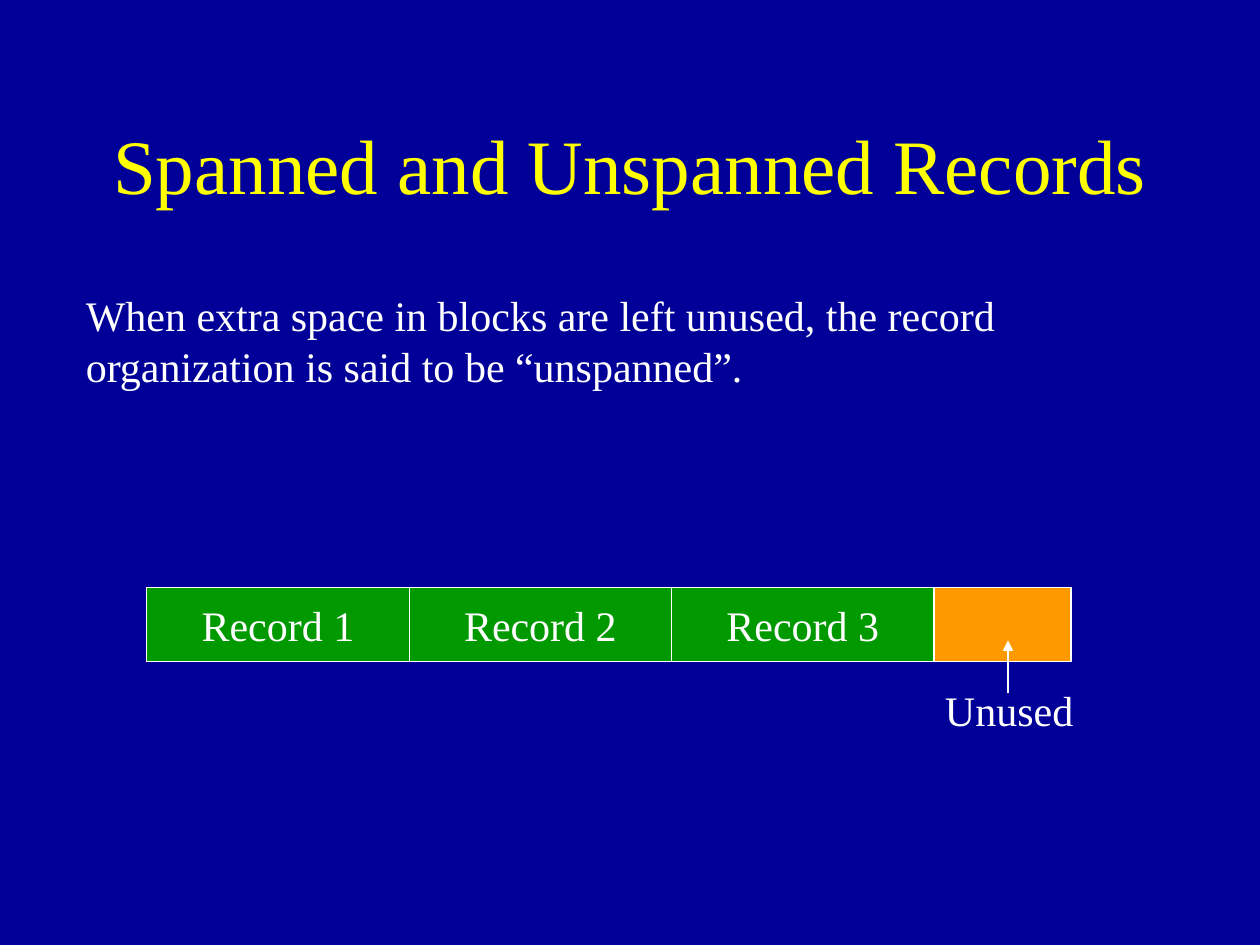
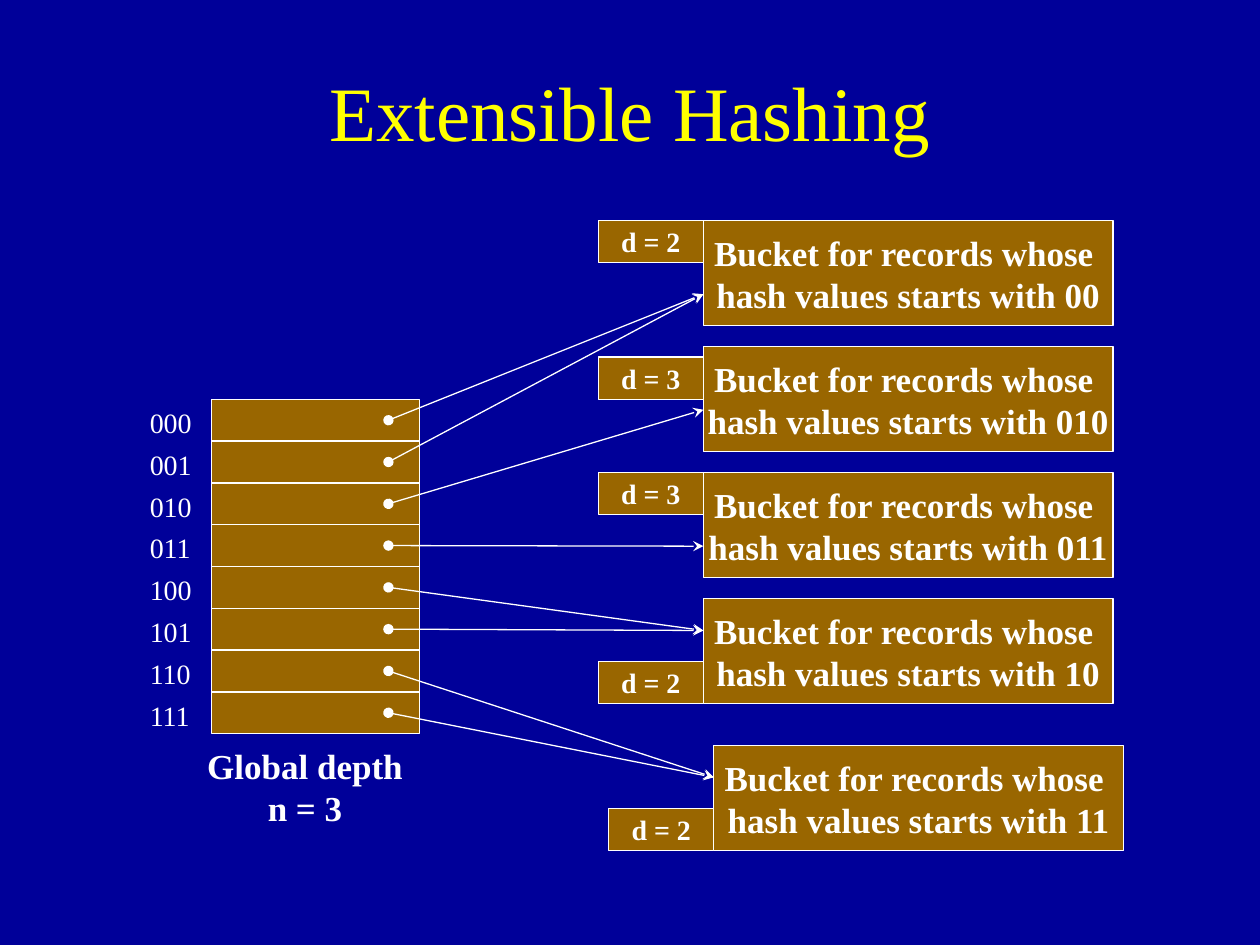
from lxml.etree import SubElement
from pptx import Presentation
from pptx.dml.color import RGBColor
from pptx.enum.shapes import MSO_CONNECTOR, MSO_SHAPE
from pptx.enum.text import MSO_ANCHOR, MSO_AUTO_SIZE, PP_ALIGN
from pptx.oxml.ns import qn
from pptx.util import Cm, Pt

NAVY = RGBColor(0x00, 0x00, 0x99)
YELLOW = RGBColor(0xFF, 0xFF, 0x00)
WHITE = RGBColor(0xFF, 0xFF, 0xFF)
GREEN = RGBColor(0x00, 0x99, 0x00)
ORANGE = RGBColor(0xFF, 0x99, 0x00)
BROWN = RGBColor(0x99, 0x66, 0x00)

FONT = "Times New Roman"
LINE_WIDTH = Pt(0.75)
TITLE_ONLY = 5


def write(frame, text, size, color=WHITE, bold=False, align=PP_ALIGN.CENTER):
    """Fill a text frame, one paragraph for each line of the text."""
    frame.text = text
    for paragraph in frame.paragraphs:
        paragraph.alignment = align
        font = paragraph.font
        font.name, font.size, font.bold = FONT, Pt(size), bold
        font.color.rgb = color


def add_page(deck, title, title_top):
    page = deck.slides.add_slide(deck.slide_layouts[TITLE_ONLY])
    box = page.shapes.title
    box.left, box.top, box.width, box.height = Cm(1.9), Cm(title_top), Cm(21.6), Cm(3.18)
    frame = box.text_frame
    frame.auto_size = MSO_AUTO_SIZE.NONE
    frame.vertical_anchor = MSO_ANCHOR.MIDDLE
    write(frame, title, 44, YELLOW)
    return page


def add_block(page, left, top, width, height, fill, text="", size=24, bold=False):
    """Add a white-edged rectangle with centred text."""
    block = page.shapes.add_shape(
        MSO_SHAPE.RECTANGLE, Cm(left), Cm(top), Cm(width), Cm(height))
    block.shadow.inherit = False
    block.fill.solid()
    block.fill.fore_color.rgb = fill
    block.line.color.rgb = WHITE
    block.line.width = LINE_WIDTH
    if text:
        block.text_frame.word_wrap = False
        block.text_frame.vertical_anchor = MSO_ANCHOR.MIDDLE
        write(block.text_frame, text, size, bold=bold)


def add_label(page, left, top, width, height, text, size,
              bold=False, align=PP_ALIGN.LEFT, wrap=False):
    box = page.shapes.add_textbox(Cm(left), Cm(top), Cm(width), Cm(height))
    box.text_frame.word_wrap = wrap
    write(box.text_frame, text, size, bold=bold, align=align)


def add_line(page, start, end, head=None, tail=None):
    """Draw a line; head and tail name the marks at its start and end."""
    connector = page.shapes.add_connector(
        MSO_CONNECTOR.STRAIGHT, *(Cm(value) for value in (*start, *end)))
    connector.line.color.rgb = WHITE
    connector.line.width = LINE_WIDTH
    properties = connector.element.spPr
    outline = properties.find(qn("a:ln"))
    for tag, mark in (("a:headEnd", head), ("a:tailEnd", tail)):
        if mark:
            SubElement(outline, qn(tag)).set("type", mark)
    SubElement(properties, qn("a:effectLst"))


def add_record_block(page, left, top, width, height):
    """Draw three records and the unused rest of their block."""
    record_width = 5.29
    add_block(page, left, top, width, height, ORANGE)
    for index in range(3):
        add_block(page, left + index * record_width, top, record_width, height,
                  GREEN, f"Record {index + 1}")
    arrow_x = left + 17.36
    add_label(page, left + 15.84, top + 1.82, 3.1, 1.27, "Unused", 24)
    add_line(page, (arrow_x, top + 2.12), (arrow_x, top + 1.06), tail="triangle")


def add_directory(page, left, top, width, height, depth):
    """Draw the hash directory and return the start point of each pointer."""
    count = 2 ** depth
    row_height = height / count
    add_block(page, left, top, width, height, BROWN)
    starts = []
    for row in range(count):
        row_top = top + row * row_height
        if row:
            add_line(page, (left, row_top), (left + width, row_top))
        add_label(page, left - 1.5, row_top, 1.35, 0.94, f"{row:0{depth}b}", 16)
        starts.append((left + 3.56, row_top + row_height / 2))
    add_label(page, left - 0.43, top + height + 0.1, 4.62, 1.96,
              f"Global depth \nn = {depth}", 20, bold=True, align=PP_ALIGN.CENTER)
    return starts


def add_bucket(page, left, top, prefix, tag_drop):
    """Draw a bucket with its local-depth tag, tag_drop below the bucket's top."""
    tag_width = 2.12
    add_block(page, left, top, 8.26, 2.12, BROWN,
              f"Bucket for records whose \nhash values starts with {prefix}", 20, True)
    add_block(page, left - tag_width, top + tag_drop, tag_width, 0.85, BROWN,
              f"d = {len(prefix)}", 16, True)


def build_records_page(deck):
    page = add_page(deck, "Spanned and Unspanned Records", 1.7)
    add_label(page, 1.48, 5.72, 22.05, 2.29,
              "When extra space in blocks are left unused, the record "
              "organization is said to be “unspanned”.", 24, wrap=True)
    add_record_block(page, 2.96, 11.85, 18.63, 1.48)


def build_hashing_page(deck):
    page = add_page(deck, "Extensible Hashing", 0.64)
    depth = 3
    starts = add_directory(page, 4.27, 8.05, 4.19, 6.74, depth)
    first_top, pitch, left = 4.45, 2.54, 14.18
    # prefix, left, top, drop of the depth tag, drop of the arrow tip
    buckets = [
        ("00", left, first_top, 0, 1.48),
        ("010", left, first_top + pitch, 0.21, 1.27),
        ("011", left, first_top + 2 * pitch, 0, 1.48),
        ("10", left, first_top + 3 * pitch, 1.27, 0.64),
        ("11", left + 0.21, 15.03, 1.27, 0.64),
    ]
    for prefix, bucket_left, top, tag_drop, tip_drop in buckets:
        add_bucket(page, bucket_left, top, prefix, tag_drop)
        for row, start in enumerate(starts):
            if f"{row:0{depth}b}".startswith(prefix):
                add_line(page, start, (bucket_left, top + tip_drop), "oval", "stealth")


def main():
    deck = Presentation()
    deck.slide_width, deck.slide_height = Cm(25.4), Cm(19.05)
    background = deck.slide_master.background.fill
    background.solid()
    background.fore_color.rgb = NAVY
    build_records_page(deck)
    build_hashing_page(deck)
    deck.save("out.pptx")


if __name__ == "__main__":
    main()
